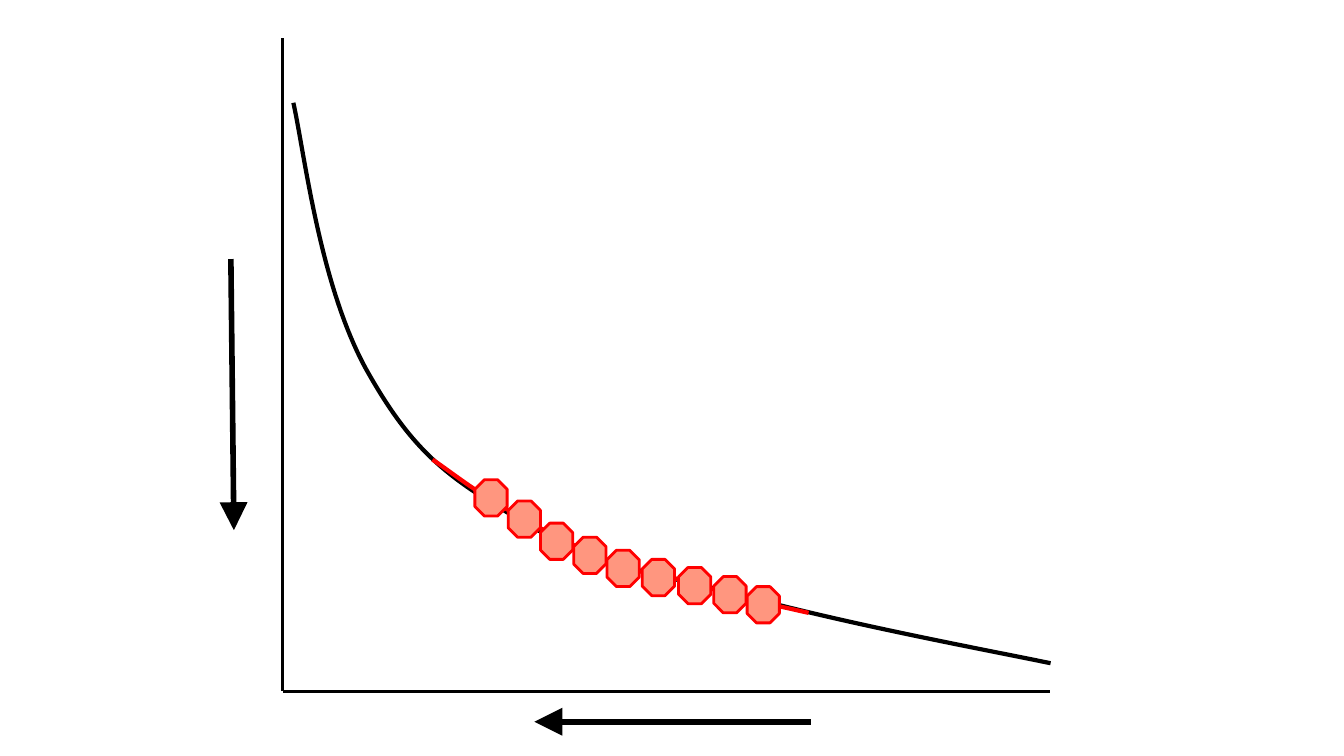
from dataclasses import dataclass

from lxml.etree import SubElement
from pptx import Presentation
from pptx.dml.color import RGBColor
from pptx.enum.shapes import MSO_CONNECTOR, MSO_SHAPE
from pptx.oxml.ns import qn
from pptx.slide import Slide
from pptx.util import Inches, Pt

COLORS = {"axis": "000000", "highlight": "FF0000", "marker": "FF967F"}
MARKER_WIDTH, MARKER_HEIGHT = 0.32, 0.36

Point = tuple[float, float]
Bend = tuple[Point, Point, Point]


@dataclass(frozen=True)
class Curve:
    start: Point
    bends: tuple[Bend, ...]
    color: str
    weight: float = 3


@dataclass(frozen=True)
class Stroke:
    start: Point
    end: Point
    weight: float
    arrow: bool = False


DECAY = Curve(
    (2.91, 1.02),
    (
        ((3.02, 1.52), (3.17, 2.82), (3.63, 3.66)),
        ((4.1, 4.5), (4.45, 4.75), (5.23, 5.2)),
        ((6.01, 5.66), (6.48, 5.67), (7.52, 5.95)),
        ((8.55, 6.22), (9.84, 6.46), (10.42, 6.58)),
    ),
    COLORS["axis"],
)
HIGHLIGHT = Curve(
    (4.29, 4.56),
    (
        ((4.4, 4.63), (4.64, 4.82), (4.89, 4.97)),
        ((5.14, 5.12), (5.28, 5.2), (5.53, 5.33)),
        ((5.78, 5.45), (5.89, 5.52), (6.14, 5.61)),
        ((6.4, 5.7), (6.58, 5.7), (6.82, 5.77)),
        ((7.06, 5.83), (7.16, 5.88), (7.34, 5.94)),
        ((7.53, 5.99), (7.62, 6.0), (7.75, 6.02)),
        ((7.89, 6.05), (7.97, 6.07), (8.02, 6.08)),
    ),
    COLORS["highlight"],
)
VERTICAL_AXIS = Stroke((2.8, 0.38), (2.8, 6.86), 2)
HORIZONTAL_AXIS = Stroke((2.81, 6.86), (10.41, 6.86), 2)
LEFTWARD_ARROW = Stroke((8.04, 7.16), (5.3, 7.16), 4, arrow=True)
DOWNWARD_ARROW = Stroke((2.29, 2.57), (2.32, 5.26), 4, arrow=True)
MARKERS: tuple[Point, ...] = (
    (5.04, 4.97), (5.36, 5.19), (5.69, 5.33), (6.02, 5.46), (6.37, 5.55),
    (6.73, 5.63), (7.08, 5.72), (4.71, 4.76), (7.41, 5.82),
)


def draw_curve(slide: Slide, curve: Curve) -> None:
    outline = slide.shapes.build_freeform(*map(Inches, curve.start))
    outline.add_line_segments(
        [(Inches(x), Inches(y)) for bend in curve.bends for x, y in bend], close=False
    )
    trace = outline.convert_to_shape()
    segments = list(trace._element.iter(qn("a:lnTo")))
    route = segments[0].getparent()
    for first in range(0, len(segments), 3):
        bezier = SubElement(route, qn("a:cubicBezTo"))
        for segment in segments[first:first + 3]:
            bezier.append(segment[0])
            route.remove(segment)
    trace.shadow.inherit = False
    trace.fill.background()
    trace.line.color.rgb = RGBColor.from_string(curve.color)
    trace.line.width = Pt(curve.weight)


def draw_stroke(slide: Slide, stroke: Stroke) -> None:
    connector = slide.shapes.add_connector(
        MSO_CONNECTOR.STRAIGHT, *map(Inches, stroke.start + stroke.end)
    )
    connector.line.color.rgb = RGBColor.from_string(COLORS["axis"])
    connector.line.width = Pt(stroke.weight)
    if stroke.arrow:
        SubElement(
            connector.line._get_or_add_ln(), qn("a:tailEnd"),
            type="triangle", w="lg", len="lg",
        )
    SubElement(connector._element.spPr, qn("a:effectLst"))


def draw_marker(slide: Slide, position: Point) -> None:
    marker = slide.shapes.add_shape(
        MSO_SHAPE.OCTAGON, *map(Inches, (*position, MARKER_WIDTH, MARKER_HEIGHT))
    )
    marker.shadow.inherit = False
    marker.fill.solid()
    marker.fill.fore_color.rgb = RGBColor.from_string(COLORS["marker"])
    marker.line.color.rgb = RGBColor.from_string(COLORS["highlight"])
    marker.line.width = Pt(2)


def main() -> None:
    presentation = Presentation()
    presentation.slide_width = Inches(13.33)
    presentation.slide_height = Inches(7.5)
    slide = presentation.slides.add_slide(presentation.slide_layouts[6])
    draw_curve(slide, DECAY)
    draw_stroke(slide, VERTICAL_AXIS)
    draw_curve(slide, HIGHLIGHT)
    for stroke in (HORIZONTAL_AXIS, LEFTWARD_ARROW, DOWNWARD_ARROW):
        draw_stroke(slide, stroke)
    for position in MARKERS:
        draw_marker(slide, position)
    presentation.save("out.pptx")


if __name__ == "__main__":
    main()
